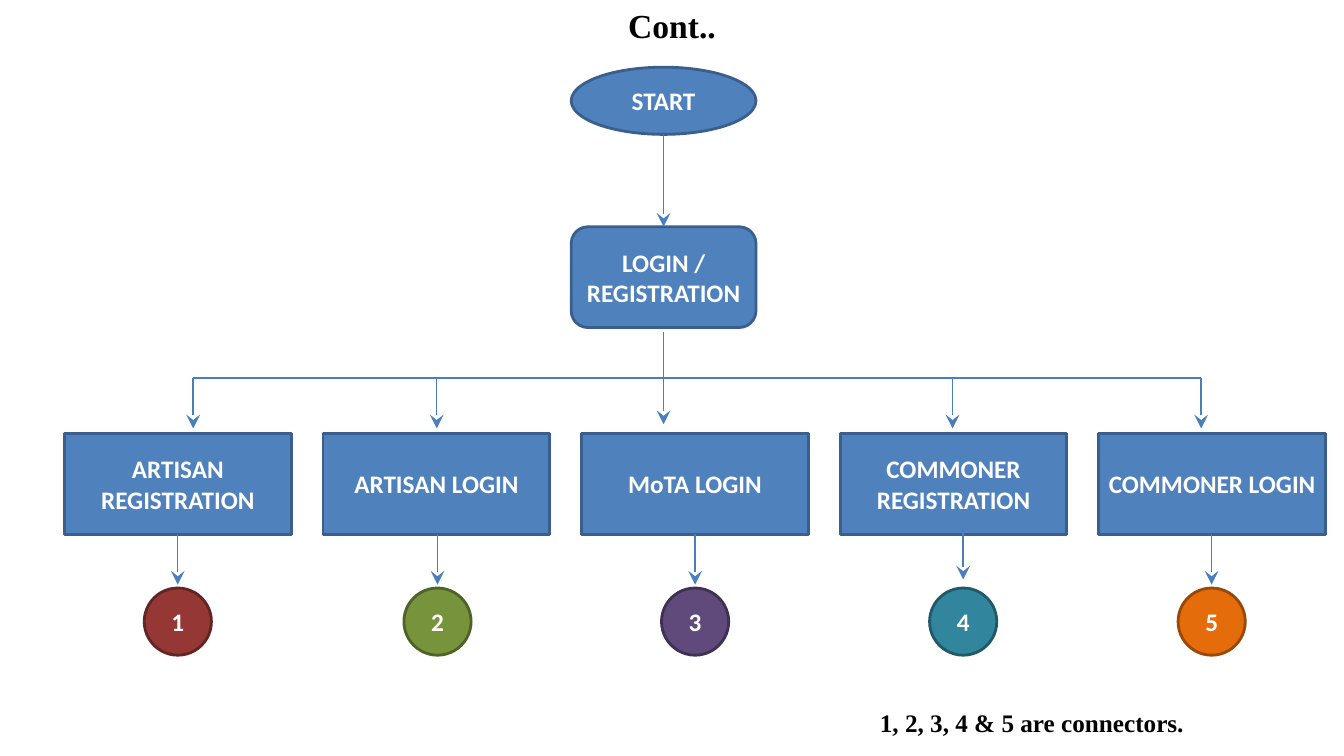
from lxml import etree
from pptx import Presentation
from pptx.dml.color import RGBColor
from pptx.enum import shapes as sh, text as tx
from pptx.oxml.ns import qn
from pptx.util import Pt

BLUE, EDGE, WIRE = "4F81BD", "3A5F8C", "4B7EBC"
SERIF, SANS = "Times New Roman", "Calibri"
KIND = sh.MSO_SHAPE

# label, fill, edge, x of arrow in, centre of circle, top of arrow out
STEPS = [
    ("ARTISAN REGISTRATION", "953735", "632523", 138, 127, 381.6),
    ("ARTISAN LOGIN", "77933C", "4F6228", 312, 312.5, 381.6),
    ("MoTA LOGIN", "604A7B", "403152", 474, 496.5, 381.6),
    ("COMMONER REGISTRATION", "31859C", "215968", 680.4, 688, 378),
    ("COMMONER LOGIN", "E46C0A", "984807", 858, 865.5, 381.6),
]


def color(code):
    return RGBColor.from_string(code)


def write(para, words, size, font, code):
    run = para.add_run()
    run.text = words
    run.font.size = Pt(size)
    run.font.name = font
    run.font.bold = True
    run.font.color.rgb = color(code)


def node(slide, kind, box, words, fill=BLUE, edge=EDGE):
    item = slide.shapes.add_shape(kind, *map(Pt, box))
    item.shadow.inherit = False
    item.fill.solid()
    item.fill.fore_color.rgb = color(fill)
    item.line.color.rgb = color(edge)
    item.line.width = Pt(2)
    frame = item.text_frame
    frame.word_wrap = True
    frame.margin_left = frame.margin_right = Pt(6)
    frame.vertical_anchor = tx.MSO_ANCHOR.MIDDLE
    para = frame.paragraphs[0]
    para.alignment = tx.PP_ALIGN.CENTER
    write(para, words, 18, SANS, "FFFFFF")


def wire(slide, x1, y1, x2, y2, arrow=True):
    link = slide.shapes.add_connector(
        sh.MSO_CONNECTOR.STRAIGHT, Pt(x1), Pt(y1), Pt(x2), Pt(y2))
    link.line.color.rgb = color(WIRE)
    link.line.width = Pt(1)
    props = link._element.spPr
    if arrow:
        etree.SubElement(props.find(qn("a:ln")), qn("a:tailEnd"),
                         type="stealth", w="lg", len="lg")
    etree.SubElement(props, qn("a:effectLst"))


def title(slide, box, words):
    head = slide.shapes.title
    head.left, head.top, head.width, head.height = map(Pt, box)
    frame = head.text_frame
    frame.vertical_anchor = tx.MSO_ANCHOR.TOP
    para = frame.paragraphs[0]
    para.alignment = tx.PP_ALIGN.CENTER
    write(para, words, 24, SERIF, "000000")


def entry(slide, box):
    """Start oval and login box, joined by an arrow."""
    left, top, wide, tall = box
    mid = left + wide / 2
    node(slide, KIND.OVAL, (left, top, wide, 48), "START")
    node(slide, KIND.ROUNDED_RECTANGLE,
         (left, top + tall - 72, wide, 72), "LOGIN / REGISTRATION")
    wire(slide, mid, top + 48, mid, top + tall - 72)


def branch(slide, box):
    """Trunk, crossbar, and one arrow down to each step."""
    left, top, wide, tall = box
    bar = top + tall - 36
    wire(slide, left, bar, left + wide, bar, False)
    for step in STEPS:
        trunk = step[0] == "MoTA LOGIN"
        start = top if trunk else bar
        wire(slide, step[3], start, step[3], top + (66 if trunk else tall))


def steps(slide, box):
    """Row of steps, each with an arrow to its numbered connector."""
    left, top, wide, tall = box
    size = 162
    pitch = (wide - size) / (len(STEPS) - 1)
    for i, (words, fill, edge, _, mid, start) in enumerate(STEPS):
        node(slide, KIND.RECTANGLE, (left + i * pitch, top, size, 72), words)
        node(slide, KIND.OVAL, (mid - 24, top + tall - 48, 48, 48),
             str(i + 1), fill, edge)
        wire(slide, mid, start, mid, start + 36)


def note(slide, box, words):
    frame = slide.shapes.add_textbox(*map(Pt, box)).text_frame
    frame.word_wrap = True
    write(frame.paragraphs[0], words, 18, SERIF, "000000")


def main():
    deck = Presentation()
    deck.slide_width, deck.slide_height = Pt(960), Pt(540)
    slide = deck.slides.add_slide(deck.slide_layouts[5])
    title(slide, (120, 0, 720, 90), "Cont..")
    entry(slide, (408, 48, 132, 186))
    branch(slide, (138, 237, 720, 69))
    steps(slide, (46, 309.6, 900.8, 158.4))
    note(slide, (621.4, 502, 268, 29), "1, 2, 3, 4 & 5 are connectors.")
    deck.save("out.pptx")


if __name__ == "__main__":
    main()
